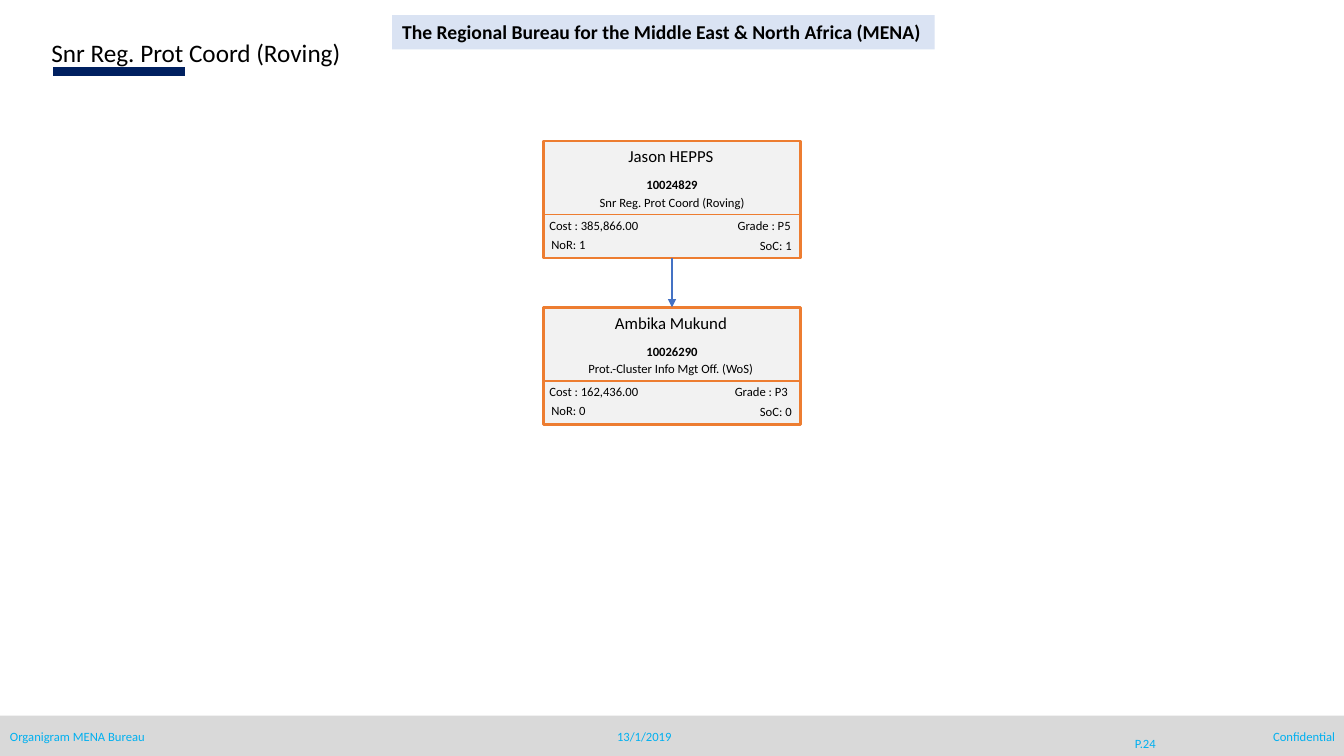
"""Build the organigram slide for the roving senior protection coordinator."""
from lxml import etree
from pptx import Presentation
from pptx.dml.color import RGBColor
from pptx.enum.shapes import MSO_CONNECTOR, MSO_SHAPE
from pptx.enum.text import MSO_ANCHOR, MSO_AUTO_SIZE, PP_ALIGN
from pptx.oxml.ns import qn
from pptx.util import Inches, Pt

LEFT, CENTER, RIGHT = PP_ALIGN.LEFT, PP_ALIGN.CENTER, PP_ALIGN.RIGHT
TOP, MIDDLE = MSO_ANCHOR.TOP, MSO_ANCHOR.MIDDLE
RECTANGLE, STRAIGHT = MSO_SHAPE.RECTANGLE, MSO_CONNECTOR.STRAIGHT
NO_AUTOFIT = MSO_AUTO_SIZE.NONE

FONT = "Calibri"
COLORS = {
    "text": "000000", "navy": "002060", "footer": "D9D9D9", "footer text": "00B0F0",
    "card": "F2F2F2", "border": "ED7D31", "banner": "DAE3F3", "arrow": "4472C4",
}
TITLE = "Snr Reg. Prot Coord (Roving)"
BANNER = "The Regional Bureau for the Middle East & North Africa (MENA)"
FOOTER = [
    ("Organigram MENA Bureau", (0, 7.18, 3.08, 0.25), LEFT, TOP),
    ("Confidential", (10.26, 7.18, 3.08, 0.25), RIGHT, TOP),
    ("P.24", (10.96, 7.18, 0.8, 0.4), CENTER, MIDDLE),
    ("13/1/2019", (5.95, 7.18, 0.88, 0.25), CENTER, MIDDLE),
]
STAFF = [
    ("Jason HEPPS", "10024829", "Snr Reg. Prot Coord (Roving)",
     "Cost : 385,866.00", "Grade : P5", "NoR: 1", "SoC: 1"),
    ("Ambika Mukund", "10026290", "Prot.-Cluster Info Mgt Off. (WoS) ",
     "Cost : 162,436.00", "Grade : P3 ", "NoR: 0", "SoC: 0"),
]
CARD_LEFT, CARD_TOP, CARD_WIDTH, CARD_HEIGHT = 5.39, 1.4, 2.55, 1.16
CARD_PITCH = 1.65
DIVIDER_OFFSET = 0.73
FIELDS = [
    ((-0.01, 0, 2.55, 0.3), {"size": 12, "align": CENTER}),
    ((0, 0.31, 2.55, 0.25), {"bold": True, "align": CENTER}),
    ((0, 0.48, 2.55, 0.25), {"align": CENTER}),
    ((-0.04, 0.71, 1.58, 0.25), {}),
    ((1.33, 0.71, 1.22, 0.25), {"align": RIGHT}),
    ((-0.02, 0.9, 0.78, 0.25), {}),
    ((1.54, 0.91, 1.02, 0.25), {"align": RIGHT}),
]


def color(name):
    return RGBColor.from_string(COLORS[name])


def write(shape, text, size=9, bold=False, ink="text", align=LEFT, anchor=TOP, wrap=True):
    frame = shape.text_frame
    frame.auto_size = NO_AUTOFIT
    frame.word_wrap = wrap
    frame.vertical_anchor = anchor
    paragraph = frame.paragraphs[0]
    paragraph.alignment = align
    paragraph.line_spacing = 1.0
    run = paragraph.add_run()
    run.text = text
    run.font.name = FONT
    run.font.size = Pt(size)
    run.font.bold = bold
    run.font.color.rgb = color(ink)


def add_label(slide, text, box, **style):
    write(slide.shapes.add_textbox(*map(Inches, box)), text, **style)


def add_box(slide, box, fill, border=None):
    shape = slide.shapes.add_shape(RECTANGLE, *map(Inches, box))
    shape.shadow.inherit = False
    shape.fill.solid()
    shape.fill.fore_color.rgb = color(fill)
    if border:
        shape.line.color.rgb = color(border)
        shape.line.width = Pt(2)
    else:
        shape.line.fill.background()
    return shape


def add_line(slide, start, end, ink, width):
    line = slide.shapes.add_connector(STRAIGHT, *map(Inches, start + end))
    line.line.color.rgb = color(ink)
    line.line.width = Pt(width)
    etree.SubElement(line._element.spPr, qn("a:effectLst"))
    return line


def add_card(slide, index, person):
    top = CARD_TOP + index * CARD_PITCH
    card = add_box(slide, (CARD_LEFT, top, CARD_WIDTH, CARD_HEIGHT), "card", "border")
    divider = top + DIVIDER_OFFSET
    add_line(slide, (CARD_LEFT, divider), (CARD_LEFT + CARD_WIDTH, divider), "border", 1)
    for text, ((dx, dy, width, height), style) in zip(person, FIELDS):
        add_label(slide, text, (CARD_LEFT + dx, top + dy, width, height), **style)
    return card


def main():
    deck = Presentation()
    deck.slide_width, deck.slide_height = Inches(13.33), Inches(7.5)
    slide = deck.slides.add_slide(deck.slide_layouts[5])

    add_line(slide, (0.53, 0.71), (1.84, 0.71), "navy", 7)
    add_box(slide, (0, 7.1, 13.33, 0.41), "footer")
    for text, box, align, anchor in FOOTER:
        add_label(slide, text, box, ink="footer text", align=align, anchor=anchor)

    title = slide.shapes.title
    title.left, title.top, title.width, title.height = map(Inches, (0.41, 0.32, 5.3, 0.41))
    write(title, TITLE, size=18)
    banner = add_box(slide, (3.89, 0.15, 5.38, 0.34), "banner")
    write(banner, BANNER, size=14, bold=True, wrap=False)

    manager, report = [add_card(slide, index, person) for index, person in enumerate(STAFF)]
    center = CARD_LEFT + CARD_WIDTH / 2
    arrow = add_line(slide, (center, CARD_TOP + CARD_HEIGHT),
                     (center, CARD_TOP + CARD_PITCH), "arrow", 1.5)
    arrow.begin_connect(manager, 2)
    arrow.end_connect(report, 0)
    etree.SubElement(arrow.line._get_or_add_ln(), qn("a:tailEnd"), type="triangle")

    deck.save("out.pptx")


if __name__ == "__main__":
    main()
